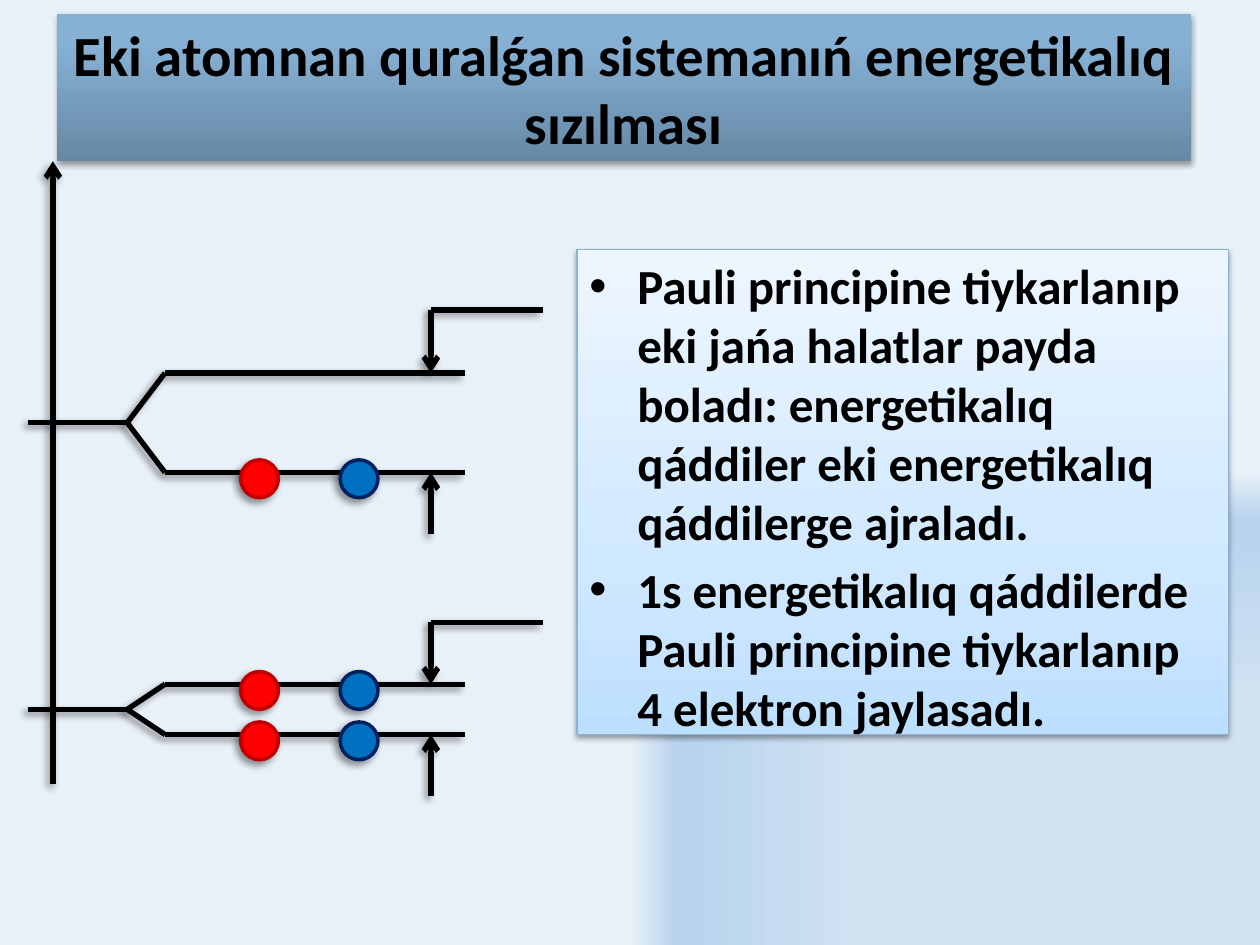
from lxml import etree
from pptx import Presentation
from pptx.dml.color import RGBColor
from pptx.enum.shapes import MSO_CONNECTOR as CONN, MSO_SHAPE as SHAPE
from pptx.enum.text import MSO_ANCHOR as ANCHOR, PP_ALIGN as ALIGN
from pptx.oxml import parse_xml
from pptx.oxml.ns import nsdecls, qn
from pptx.util import Inches, Pt

BLACK = RGBColor(0x00, 0x00, 0x00)
RED, DARK_RED = RGBColor(0xFF, 0x00, 0x00), RGBColor(0xC0, 0x00, 0x00)
BLUE, NAVY = RGBColor(0x00, 0x70, 0xC0), RGBColor(0x00, 0x20, 0x60)
PANEL_EDGE = RGBColor(0x8F, 0xB2, 0xCF)
BG_STOPS = [(50, RGBColor(0xD2, 0xE2, 0xF2)), (90, RGBColor(0xB7, 0xD3, 0xED)),
            (100, RGBColor(0xE8, 0xF0, 0xF8))]
TITLE_STOPS = [(0, RGBColor(0x67, 0x88, 0xA4)), (80, RGBColor(0x86, 0xB1, 0xD4)),
               (100, RGBColor(0x86, 0xB2, 0xD7))]
PANEL_STOPS = [(0, RGBColor(0xBD, 0xDF, 0xFF)), (35, RGBColor(0xD0, 0xE8, 0xFF)),
               (100, RGBColor(0xED, 0xF6, 0xFF))]
UPWARD = '<a:lin ang="16200000" scaled="0"/>'
CORNER = '<a:path path="rect"><a:fillToRect l="100000" t="100000"/></a:path>'
FONT = "Calibri"

TITLE = "Eki atomnan quralǵan sistemanıń energetikalıq sızılması"
POINTS = [
    "Pauli principine tiykarlanıp eki jańa halatlar payda boladı: "
    "energetikalıq qáddiler eki energetikalıq qáddilerge ajraladı.",
    "1s energetikalıq qáddilerde Pauli principine tiykarlanıp \v4 elektron jaylasadı.",
]


def set_gradient(fill, element, stops, shade):
    fill.gradient()
    old = element.xpath(".//a:gradFill")[0]
    gs = "".join(f'<a:gs pos="{pos * 1000}"><a:srgbClr val="{color}"/></a:gs>'
                 for pos, color in stops)
    new = parse_xml(f'<a:gradFill {nsdecls("a")} rotWithShape="1">'
                    f'<a:gsLst>{gs}</a:gsLst>{shade}</a:gradFill>')
    old.getparent().replace(old, new)


def add_shadow(s, alpha=40, blur=4, dist=3, angle=135):
    s._element.spPr.append(parse_xml(
        f'<a:effectLst {nsdecls("a")}><a:outerShdw blurRad="{Pt(blur)}" dist="{Pt(dist)}" '
        f'dir="{angle * 60000}" algn="ctr" rotWithShape="0"><a:srgbClr val="{BLACK}">'
        f'<a:alpha val="{alpha * 1000}"/></a:srgbClr></a:outerShdw></a:effectLst>'))


def add_line(slide, x1, y1, x2, y2, arrow=False):
    ln = slide.shapes.add_connector(CONN.STRAIGHT, *map(Inches, (x1, y1, x2, y2)))
    ln.line.color.rgb = BLACK
    ln.line.width = Pt(3)
    if arrow:
        etree.SubElement(ln.line._get_or_add_ln(), qn("a:tailEnd"), type="arrow")
    add_shadow(ln)


def add_electron(slide, x, y, color, edge):
    s = slide.shapes.add_shape(SHAPE.OVAL, *map(Inches, (x, y, 0.3, 0.3)))
    s.fill.solid()
    s.fill.fore_color.rgb = color
    s.line.color.rgb = edge
    s.line.width = Pt(2)
    add_shadow(s)


def add_panel(slide, box, stops, edge, paragraphs, size, anchor, align):
    s = slide.shapes.add_shape(SHAPE.RECTANGLE, *map(Inches, box))
    set_gradient(s.fill, s._element, stops, UPWARD)
    if edge is None:
        s.line.fill.background()
    else:
        s.line.color.rgb = edge
        s.line.width = Pt(0.75)
    add_shadow(s, 36, 3.1, 1.7, 90)
    tf = s.text_frame
    tf.word_wrap = True
    tf.vertical_anchor = anchor
    for i, text in enumerate(paragraphs):
        p = tf.paragraphs[0] if i == 0 else tf.add_paragraph()
        p.text = text
        p.alignment = align
        for r in p.runs:
            r.font.name = FONT
            r.font.size = Pt(size)
            r.font.bold = True
            r.font.color.rgb = BLACK
    return tf


def add_title(slide, box):
    add_panel(slide, box, TITLE_STOPS, None, [TITLE], 32.4, ANCHOR.MIDDLE, ALIGN.CENTER)


def add_points(slide, box):
    tf = add_panel(slide, box, PANEL_STOPS, PANEL_EDGE, POINTS, 28, ANCHOR.TOP, ALIGN.LEFT)
    for i, p in enumerate(tf.paragraphs):
        if i:
            p.space_before = Pt(5.6)
        pPr = p._p.get_or_add_pPr()
        pPr.set("marL", str(Inches(0.38)))
        pPr.set("indent", str(-Inches(0.38)))
        etree.SubElement(pPr, qn("a:buFont"), typeface="Arial")
        etree.SubElement(pPr, qn("a:buChar"), char="•")


def add_split_level(slide, left, upper, lower, filled, arrow_start):
    """One level that splits in two; filled lists the heights that hold electrons."""
    middle = (upper + lower) / 2
    fork, branch, arrow_x = left + 0.79, left + 1.09, left + 3.2
    add_line(slide, left, middle, fork, middle)
    for y in (upper, lower):
        add_line(slide, branch, y, left + 3.47, y)
        add_line(slide, fork, middle, branch, y)
    for y in filled:
        add_electron(slide, left + 1.69, y - 0.1, RED, DARK_RED)
        add_electron(slide, left + 2.48, y - 0.1, BLUE, NAVY)
    # Arrows that point at both branches, with a lead on the upper one
    add_line(slide, arrow_x, lower + 0.49, arrow_x, lower, arrow=True)
    add_line(slide, arrow_x, arrow_start, arrow_x, upper, arrow=True)
    add_line(slide, arrow_x, arrow_start, left + 4.09, arrow_start)


def add_energy_diagram(slide, left, top, height):
    # Energy axis
    axis = left + 0.2
    add_line(slide, axis, top + height, axis, top, arrow=True)
    # Upper level: electrons on the lower branch only
    add_split_level(slide, left, top + 1.68, top + 2.47, [top + 2.47], top + 1.18)
    # 1s level: both branches are full
    low = (top + 4.15, top + 4.55)
    add_split_level(slide, left, *low, low, top + 3.66)


def main():
    prs = Presentation()
    prs.slide_width, prs.slide_height = Inches(10), Inches(7.5)
    slide = prs.slides.add_slide(prs.slide_layouts[6])
    set_gradient(slide.background.fill, slide.element, BG_STOPS, CORNER)
    add_title(slide, (0.45, 0.11, 9, 1.17))
    add_points(slide, (4.58, 1.98, 5.17, 3.85))
    add_energy_diagram(slide, 0.22, 1.28, 4.94)
    prs.save("out.pptx")


if __name__ == "__main__":
    main()
